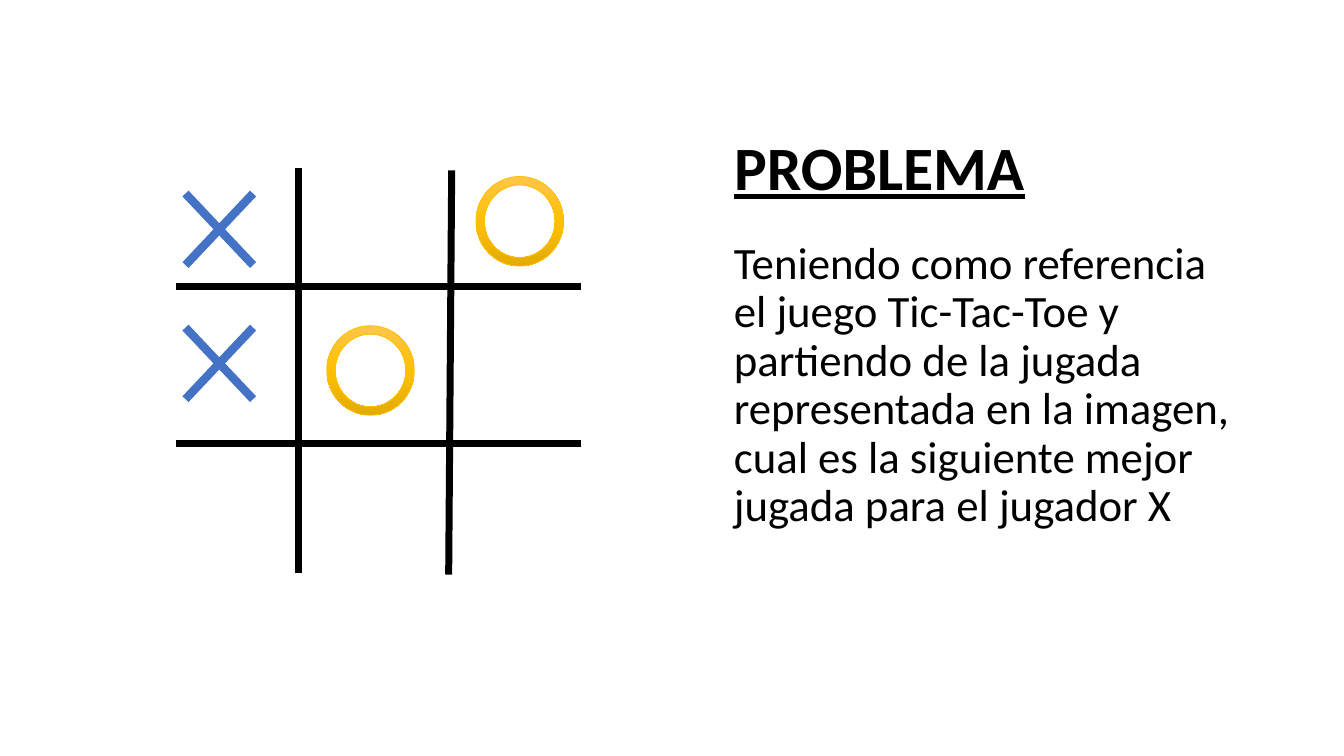
from copy import deepcopy

from lxml import etree
from pptx import Presentation
from pptx.dml.color import RGBColor
from pptx.enum.shapes import MSO_CONNECTOR, MSO_SHAPE
from pptx.enum.text import MSO_ANCHOR, PP_ALIGN
from pptx.oxml.ns import qn
from pptx.util import Inches, Pt

BLACK = RGBColor(0x00, 0x00, 0x00)
BLUE = RGBColor(0x44, 0x72, 0xC4)
GOLD = RGBColor(0xFF, 0xC0, 0x00)
LIGHT_GOLD = RGBColor(0xFF, 0xC6, 0x4B)
DARK_GOLD = RGBColor(0xE3, 0xAB, 0x00)

FONT = "Calibri"
TEXT_LEFT, TEXT_WIDTH = 7.18, 5.19
BOARD_LEFT, BOARD_TOP, BOARD_SIZE = 1.75, 1.67, 4.01
CROSS_LEFT, CROSS_TOP, CROSS_PITCH = 1.84, 1.92, 1.33
CROSS_WIDTH, CROSS_HEIGHT = 0.67, 0.71
RING_LEFT, RING_TOP, RING_PITCH = 1.76, 1.75, 1.48
RING_WIDTH, RING_HEIGHT = 0.87, 0.89

CROSS_ROWS = (0, 1)
RING_CELLS = ((1, 1), (0, 2))
PROBLEM = ("Teniendo como referencia el juego Tic-Tac-Toe y partiendo de la jugada "
           "representada en la imagen, cual es la siguiente mejor jugada para el jugador X ")


def place(shape, left, top, width, height):
    shape.left, shape.top = Inches(left), Inches(top)
    shape.width, shape.height = Inches(width), Inches(height)


def write(shape, text, size, anchor, emphasis=False, space_before=0):
    frame = shape.text_frame
    frame.word_wrap = True
    frame.vertical_anchor = anchor
    paragraph = frame.paragraphs[0]
    paragraph.alignment = PP_ALIGN.LEFT
    paragraph.line_spacing = 0.9
    paragraph.space_before = Pt(space_before)
    run = paragraph.add_run()
    run.text = text
    font = run.font
    font.name, font.size = FONT, Pt(size)
    font.bold = font.underline = emphasis
    font.color.rgb = BLACK


def add_line(shapes, start, end, color, width):
    line = shapes.add_connector(MSO_CONNECTOR.STRAIGHT,
                                *(Inches(value) for value in (*start, *end)))
    line.line.color.rgb = color
    line.line.width = Pt(width)
    etree.SubElement(line._element.spPr, qn("a:effectLst"))


def add_board(shapes):
    bottom, right = BOARD_TOP + BOARD_SIZE, BOARD_LEFT + BOARD_SIZE
    for top_x, bottom_x, shift in ((2.96, 2.96, 0), (4.48, 4.45, 0.02)):
        add_line(shapes, (top_x, BOARD_TOP + shift), (bottom_x, bottom + shift), BLACK, 5)
    for y in (2.84, 4.4):
        add_line(shapes, (BOARD_LEFT, y), (right, y), BLACK, 5)


def add_cross(shapes, row):
    left, top = CROSS_LEFT, CROSS_TOP + row * CROSS_PITCH
    right, bottom = left + CROSS_WIDTH, top + CROSS_HEIGHT
    add_line(shapes, (left, top), (right, bottom), BLUE, 6)
    add_line(shapes, (right, top), (left, bottom), BLUE, 6)


def fill_gold(fill, shape):
    fill.gradient()
    fill.gradient_angle = 270
    first, last = fill.gradient_stops
    first.color.rgb, first.position = GOLD, 0.5
    last.color.rgb, last.position = DARK_GOLD, 1
    stops = shape._element.spPr.find(".//" + qn("a:gsLst"))
    stops.insert(0, deepcopy(stops[0]))
    light = fill.gradient_stops[0]
    light.color.rgb, light.position = LIGHT_GOLD, 0


def add_ring(shapes, row, column):
    ring = shapes.add_shape(MSO_SHAPE.DONUT, 0, 0, 0, 0)
    place(ring, RING_LEFT + column * RING_PITCH, RING_TOP + row * RING_PITCH,
          RING_WIDTH, RING_HEIGHT)
    ring.adjustments[0] = 0.097
    ring.shadow.inherit = False
    fill_gold(ring.fill, ring)
    ring.line.color.rgb = GOLD
    ring.line.width = Pt(0.5)


def main():
    deck = Presentation()
    deck.slide_width, deck.slide_height = Inches(13.33), Inches(7.5)
    slide = deck.slides.add_slide(deck.slide_layouts.get_by_name("Title Only"))

    title = slide.shapes.title
    place(title, TEXT_LEFT, 0.88, TEXT_WIDTH, 1.62)
    write(title, "PROBLEMA", 44, MSO_ANCHOR.MIDDLE, emphasis=True)

    problem = slide.shapes.add_textbox(0, 0, 0, 0)
    place(problem, TEXT_LEFT, 2.34, TEXT_WIDTH, 3.87)
    write(problem, PROBLEM, 32, MSO_ANCHOR.TOP, space_before=10)

    game = slide.shapes.add_group_shape().shapes
    add_board(game)
    for row in CROSS_ROWS:
        add_cross(game, row)
    for row, column in RING_CELLS:
        add_ring(game, row, column)

    deck.save("out.pptx")


main()
